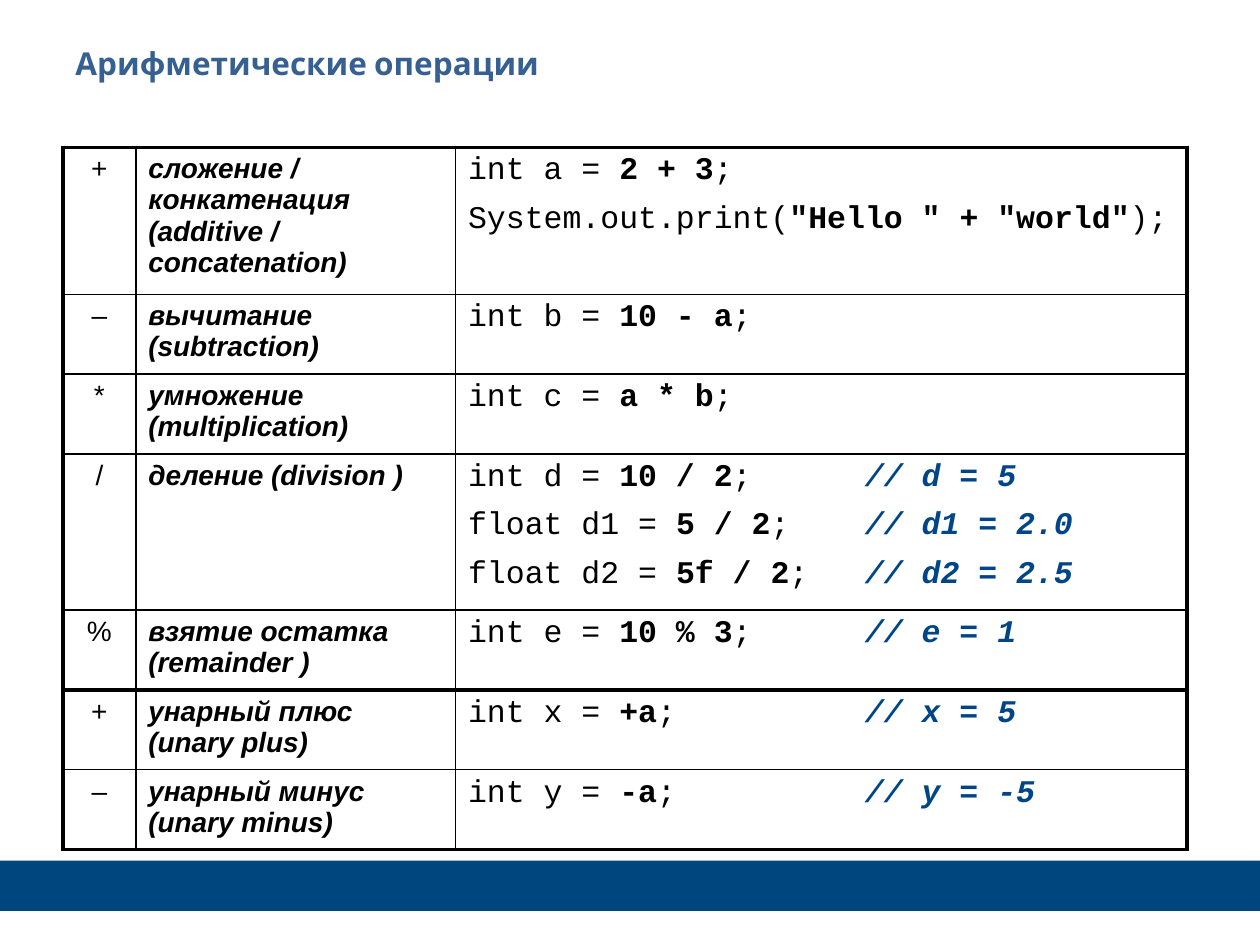
from pptx import Presentation
from pptx.dml.color import RGBColor
from pptx.enum.shapes import MSO_SHAPE as Shape
from pptx.enum.text import PP_ALIGN as Align
from pptx.oxml.ns import qn
from pptx.util import Pt
from lxml.etree import Element, SubElement

COLORS = {"bar": "00467E", "title": "376092", "ink": "000000", "comment": "004587"}
THIN, THICK = 1, 2.25
COMMENT_TAB = 226.8
COLUMN_WIDTHS = [41.6, 182.7, 418]
ROW_HEIGHTS = [84, 45.6, 45.6, 89.2, 45.6, 45.6, 45.6]
UNARY_START = 5

OPERATIONS = [
    ("+", "сложение / конкатенация (additive / concatenation)",
     [("int a = ", "2 + 3", ";", ""),
      ("System.out.print(", '"Hello " + "world"', ");", "")]),
    ("–", "вычитание (subtraction)", [("int b = ", "10 - a", ";", "")]),
    ("*", "умножение (multiplication)", [("int c = ", "a * b", ";", "")]),
    ("/", "деление (division )",
     [("int d = ", "10 / 2", ";", "// d = 5"),
      ("float d1 = ", "5 / 2", ";", "// d1 = 2.0"),
      ("float d2 = ", "5f / 2", ";", "// d2 = 2.5")]),
    ("%", "взятие остатка (remainder )", [("int e = ", "10 % 3", ";", "// e = 1")]),
    ("+", "унарный плюс (unary plus)", [("int x = ", "+a", ";", "// x = 5")]),
    ("–", "унарный минус (unary minus)", [("int y = ", "-a", ";", "// y = -5")]),
]


def rgb(name):
    return RGBColor.from_string(COLORS[name])


def add_span(para, text, font="Arial", size=16, color="ink", bold=False, italic=False):
    span = para.add_run()
    span.text = text
    span.font.name = font
    span.font.size = Pt(size)
    span.font.bold = bold
    span.font.italic = italic
    span.font.color.rgb = rgb(color)


def add_bar(page):
    bar = page.shapes.add_shape(Shape.RECTANGLE, Pt(0), Pt(491.8), Pt(720), Pt(28.8))
    bar.shadow.inherit = False
    bar.fill.solid()
    bar.fill.fore_color.rgb = rgb("bar")
    bar.line.fill.background()


def add_title(page, text):
    box = page.shapes.add_textbox(Pt(36), Pt(21.6), Pt(648), Pt(111.6))
    box.text_frame.word_wrap = True
    add_span(box.text_frame.paragraphs[0], text, font="Cabin", size=18,
             color="title", bold=True)


def set_borders(cell, widths):
    properties = cell._tc.get_or_add_tcPr()
    for index, (side, width) in enumerate(widths.items()):
        line = Element(qn(f"a:ln{side}"), w=str(Pt(width)))
        fill = SubElement(line, qn("a:solidFill"))
        SubElement(fill, qn("a:srgbClr"), val=COLORS["ink"])
        properties.insert(index, line)


def border_widths(row, column):
    last_row, last_column = len(ROW_HEIGHTS) - 1, len(COLUMN_WIDTHS) - 1
    heavy = {
        "L": column == 0,
        "R": column == last_column,
        "T": row in (0, UNARY_START),
        "B": row in (UNARY_START - 1, last_row),
    }
    return {side: THICK if thick else THIN for side, thick in heavy.items()}


def add_tab_stop(para, position):
    tabs = SubElement(para._p.get_or_add_pPr(), qn("a:tabLst"))
    SubElement(tabs, qn("a:tab"), pos=str(Pt(position)), algn="l")


def write_label(cell, text, align=Align.LEFT, **style):
    para = cell.text_frame.paragraphs[0]
    para.alignment = align
    para.space_after = Pt(6.4)
    add_span(para, text, **style)


def write_code(cell, lines):
    frame = cell.text_frame
    code = {"font": "Courier New", "size": 18}
    for index, (start, expression, end, comment) in enumerate(lines):
        para = frame.add_paragraph() if index else frame.paragraphs[0]
        para.space_after = Pt(7.2)
        add_span(para, start, **code)
        add_span(para, expression, bold=True, **code)
        add_span(para, end, **code)
        if comment:
            add_tab_stop(para, COMMENT_TAB)
            add_span(para, "\t" + comment, color="comment", bold=True, italic=True, **code)


def add_operations_table(page):
    table = page.shapes.add_table(
        len(ROW_HEIGHTS), len(COLUMN_WIDTHS), Pt(36), Pt(84.2),
        Pt(sum(COLUMN_WIDTHS)), Pt(sum(ROW_HEIGHTS))).table
    table.first_row = table.horz_banding = False
    for column, width in zip(table.columns, COLUMN_WIDTHS):
        column.width = Pt(width)
    for row, height in zip(table.rows, ROW_HEIGHTS):
        row.height = Pt(height)
    for row, (symbol, name, lines) in enumerate(OPERATIONS):
        for column in range(len(COLUMN_WIDTHS)):
            cell = table.cell(row, column)
            cell.fill.background()
            set_borders(cell, border_widths(row, column))
        write_label(table.cell(row, 0), symbol, align=Align.CENTER)
        write_label(table.cell(row, 1), name, bold=True, italic=True)
        write_code(table.cell(row, 2), lines)


def main():
    deck = Presentation()
    deck.slide_width, deck.slide_height = Pt(720), Pt(540)
    page = deck.slides.add_slide(deck.slide_layouts[6])
    add_bar(page)
    add_title(page, "Арифметические операции")
    add_operations_table(page)
    deck.save("out.pptx")


if __name__ == "__main__":
    main()
